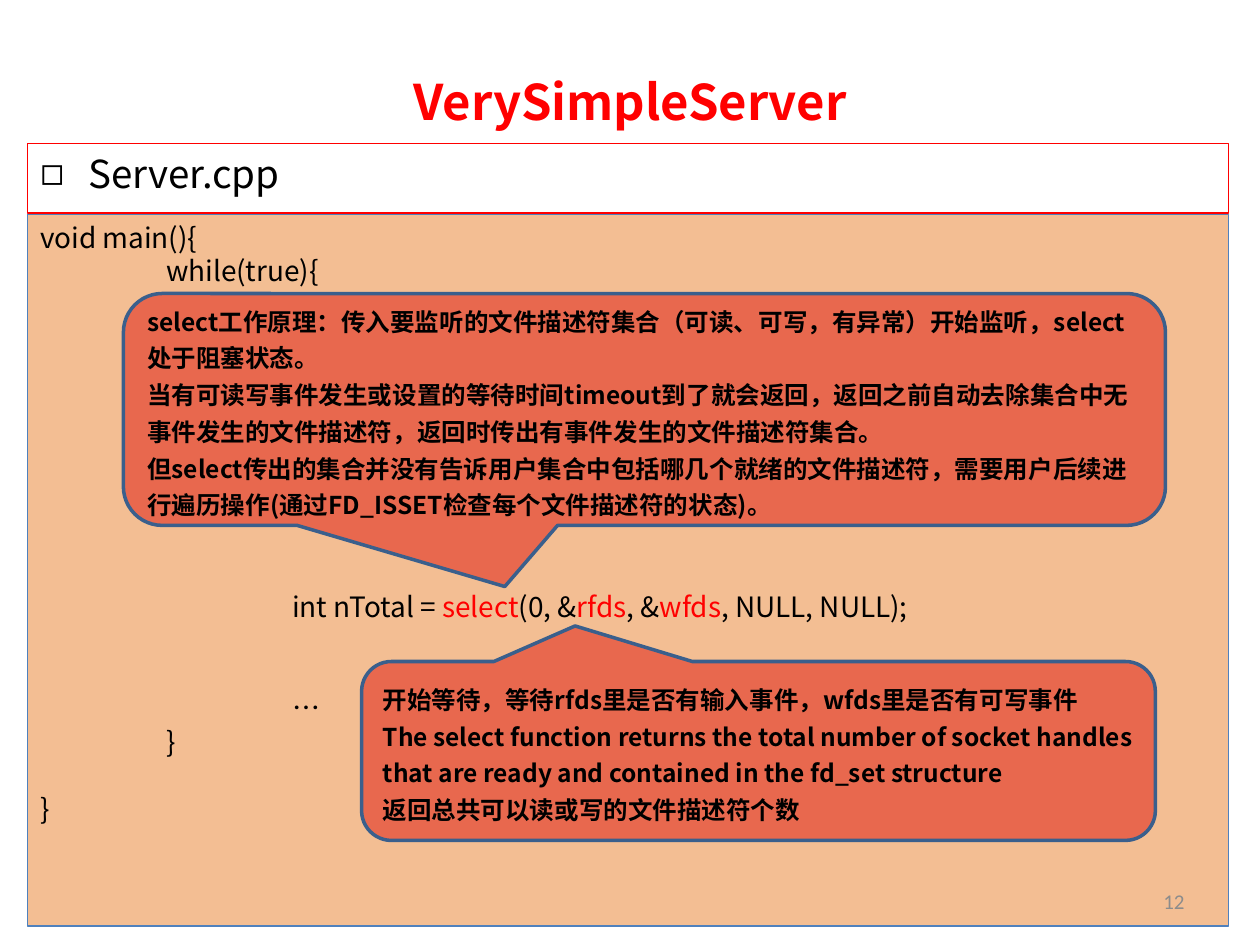
import dataclasses
import pptx
import pptx.util
import pptx.dml.color
import pptx.enum.shapes
import pptx.enum.text
import pptx.oxml.ns
import lxml.etree

Pt = pptx.util.Pt
RGB = pptx.dml.color.RGBColor.from_string
Kind = pptx.enum.shapes.MSO_SHAPE
Align = pptx.enum.text.PP_ALIGN
Hold = pptx.enum.text.MSO_ANCHOR
qn = pptx.oxml.ns.qn
UNIT = pptx.util.Inches(0.1)
COLS, ROWS = 100, 75


@dataclasses.dataclass(frozen=True)
class Theme:
    """Colours, fonts and type sizes of the slide."""
    red: str = "FF0000"
    ink: str = "000000"
    grey: str = "8C8C8C"
    panel: str = "E46C0A"
    edge: str = "4F81BD"
    note: str = "E8684E"
    rim: str = "3A5F8C"
    head: str = "Noto Sans CJK SC"
    text: str = "Noto Sans CJK JP"
    plain: str = "Calibri"
    title: int = 28
    body: int = 22
    code: int = 16
    talk: int = 14
    small: int = 12
    lead: float = 1.2


T = Theme()

CODE = [
    (0, 0, ["void main(){"]),
    (1, 0, ["while(true){"]),
    (2, 9, ["int nTotal = ", "select", "(0, &", "rfds", ", &", "wfds", ", NULL, NULL);"]),
    (2, 2, ["…"]),
    (1, 0, ["}"]),
    (0, 1, ["}"]),
]

NOTES = [
    ((7.6, 6.3, 82.7, 18.4), (-0.134, 0.764), [
        "select工作原理：传入要监听的文件描述符集合（可读、可写，有异常）开始监听，select处于阻塞状态。",
        "当有可读写事件发生或设置的等待时间timeout到了就会返回，返回之前自动去除集合中无事件发生的文件描述符，返回时传出有事件发生的文件描述符集合。",
        "但select传出的集合并没有告诉用户集合中包括哪几个就绪的文件描述符，需要用户后续进行遍历操作(通过FD_ISSET检查每个文件描述符的状态)。",
    ]),
    ((26.5, 35.5, 63, 14.2), (-0.231, -0.699), [
        "开始等待，等待rfds里是否有输入事件，wfds里是否有可写事件",
        "The select function returns the total number of socket handles that are ready and contained in the fd_set structure",
        "返回总共可以读或写的文件描述符个数",
    ]),
]


def span(box):
    """Turn a box of grid columns and rows into lengths."""
    return [round(n * UNIT) for n in box]


def place(shape, box):
    """Move a placeholder to its box."""
    shape.left, shape.top, shape.width, shape.height = span(box)


def style(para, face, size, tint, bold=False, lead=None, align=Align.LEFT):
    """Set the type and spacing of one paragraph."""
    para.alignment = align
    if lead:
        para.line_spacing = Pt(lead)
    font = para.font
    font.name, font.size, font.bold = face, Pt(size), bold
    font.color.rgb = RGB(tint)
    base = para._p.pPr.find(qn("a:defRPr"))
    lxml.etree.SubElement(base, qn("a:ea"), typeface=face)


def indent(para, left, first=0):
    """Set the left margin and first line of a paragraph in columns."""
    props = para._p.get_or_add_pPr()
    props.set("marL", str(round(left * UNIT)))
    props.set("indent", str(round(first * UNIT)))
    return props


def paint(shape, fill, line, width):
    """Fill and outline a shape without a shadow."""
    shape.shadow.inherit = False
    shape.fill.solid()
    shape.fill.fore_color.rgb = RGB(fill)
    shape.line.color.rgb = RGB(line)
    shape.line.width = Pt(width)


def title(slide, box):
    """Place the slide title."""
    shape = slide.shapes.title
    place(shape, box)
    frame = shape.text_frame
    frame.text = "VerySimpleServer"
    frame.vertical_anchor = Hold.MIDDLE
    style(frame.paragraphs[0], T.head, T.title, T.red, True, align=Align.CENTER)


def body(slide, box):
    """Place the outlined list with the file name."""
    shape = slide.placeholders[1]
    place(shape, box)
    shape.line.color.rgb = RGB(T.red)
    shape.line.width = Pt(0.75)
    frame = shape.text_frame
    frame.text = "Server.cpp"
    frame.auto_size = pptx.enum.text.MSO_AUTO_SIZE.NONE
    frame.vertical_anchor = Hold.TOP
    para = frame.paragraphs[0]
    para.space_before = Pt(0)
    para.line_spacing = Pt(T.body * T.lead)
    lxml.etree.SubElement(indent(para, 3.8, -3.8), qn("a:buChar"), char="◻")
    style(para, T.text, T.body, T.ink)


def panel(slide, box):
    """Draw the code panel and the notes upon it."""
    shape = slide.shapes.add_shape(Kind.RECTANGLE, *span(box))
    paint(shape, T.panel, T.edge, 0.75)
    tone = shape.fill._xPr.find(qn("a:solidFill"))[0]
    lxml.etree.SubElement(tone, qn("a:alpha"), val="44000")
    frame = shape.text_frame
    frame.word_wrap = True
    frame.vertical_anchor = Hold.TOP
    lead = T.code * T.lead
    for row, (level, gap, parts) in enumerate(CODE):
        para = frame.add_paragraph() if row else frame.paragraphs[0]
        indent(para, level * 10)
        para.space_before = Pt(gap * lead)
        style(para, T.text, T.code, T.ink, lead=lead)
        for spot, part in enumerate(parts):
            run = para.add_run()
            run.text = part
            if spot % 2:
                run.font.color.rgb = RGB(T.red)
    left, top = box[:2]
    for (x, y, wide, high), tip, lines in NOTES:
        note(slide, (left + x, top + y, wide, high), tip, lines)


def note(slide, box, tip, lines):
    """Draw one callout with its lines of text."""
    shape = slide.shapes.add_shape(Kind.ROUNDED_RECTANGULAR_CALLOUT, *span(box))
    shape.adjustments[0], shape.adjustments[1] = tip
    shape.adjustments[2] = 0.167
    paint(shape, T.note, T.rim, 2)
    frame = shape.text_frame
    frame.word_wrap = True
    frame.vertical_anchor = Hold.MIDDLE
    frame.text = "\n".join(lines)
    for para in frame.paragraphs:
        style(para, T.head, T.talk, T.ink, True, T.talk * T.lead * 1.25)


def folio(slide, box):
    """Place the page number."""
    frame = slide.shapes.add_textbox(*span(box)).text_frame
    frame.word_wrap = True
    frame.vertical_anchor = Hold.MIDDLE
    frame.text = "12"
    style(frame.paragraphs[0], T.plain, T.small, T.grey, align=Align.RIGHT)


def main():
    """Build the slide and save it."""
    deck = pptx.Presentation()
    deck.slide_width, deck.slide_height = COLS * UNIT, ROWS * UNIT
    slide = deck.slides.add_slide(deck.slide_layouts[1])
    title(slide, (5, 3, 90, 10.1))
    body(slide, (2.2, 11.4, 95.3, 5.5))
    panel(slide, (2.2, 17, 95.3, 56.5))
    folio(slide, (71.7, 69.5, 23.3, 4))
    deck.save("out.pptx")


if __name__ == "__main__":
    main()
